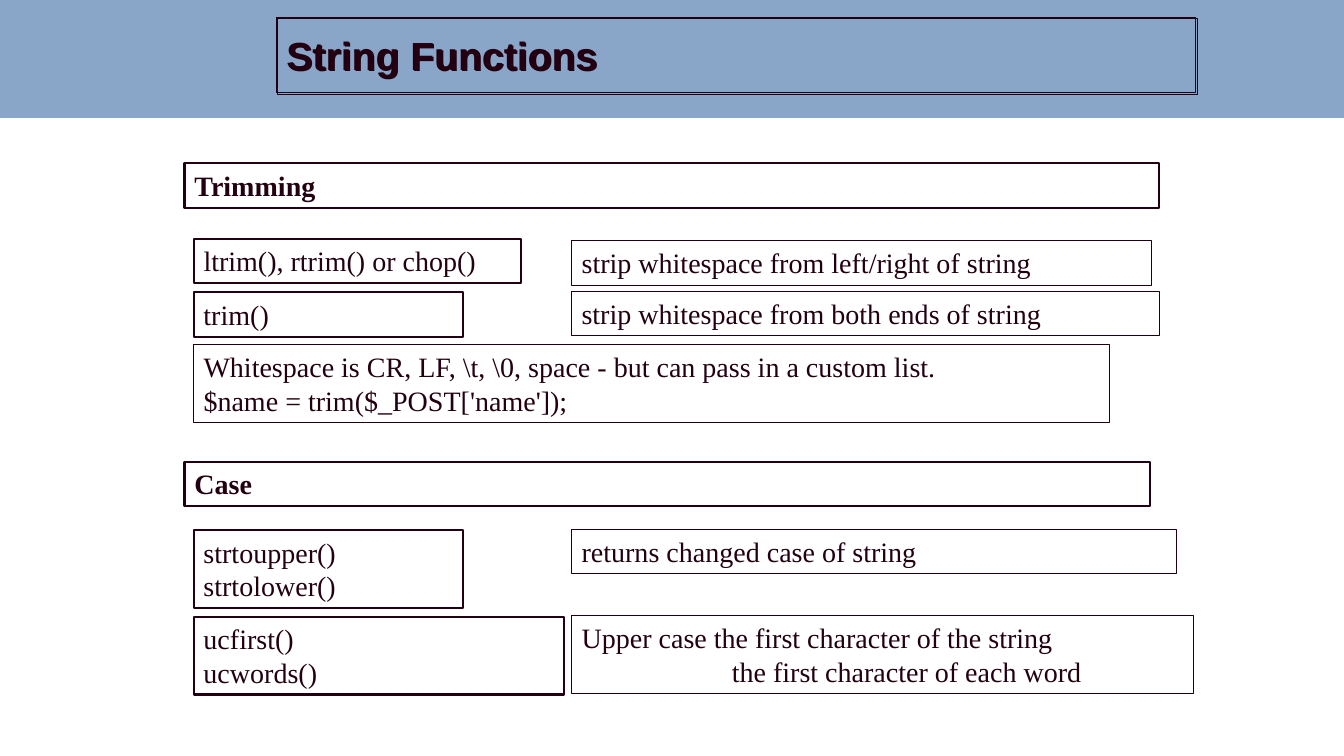
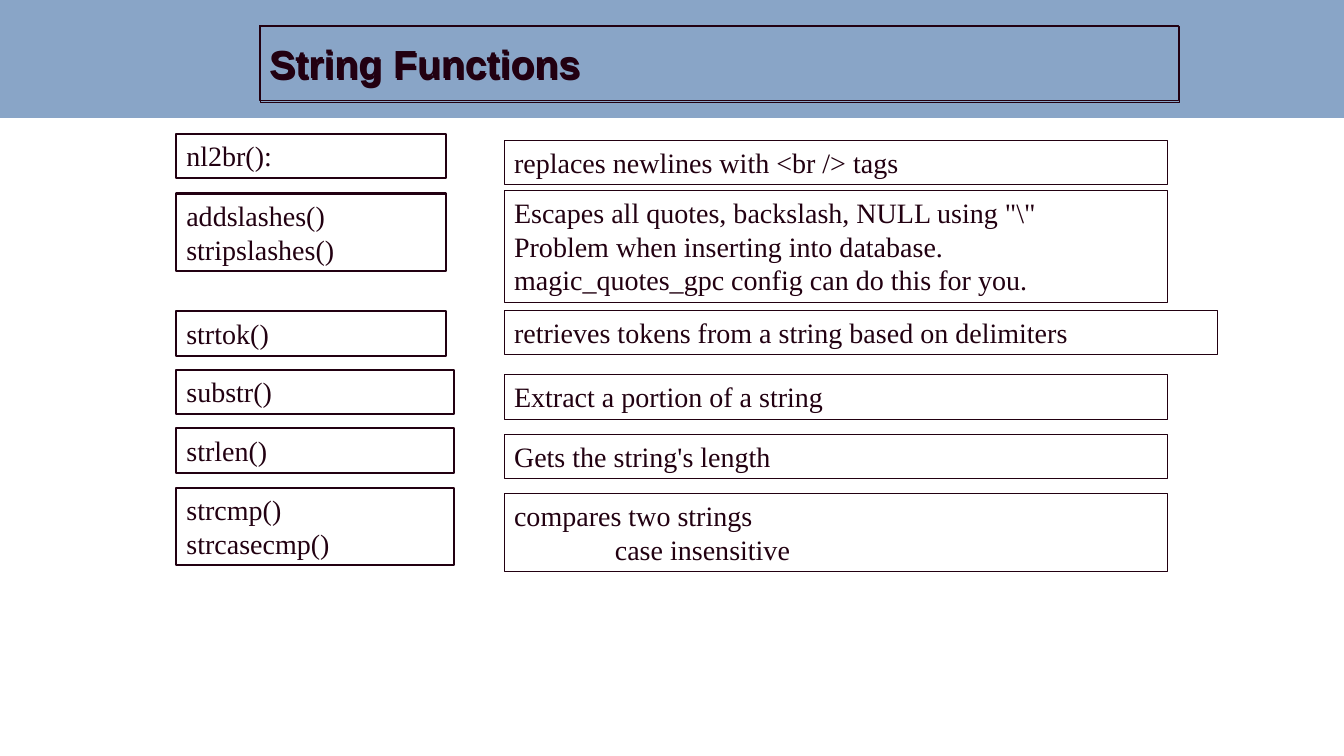
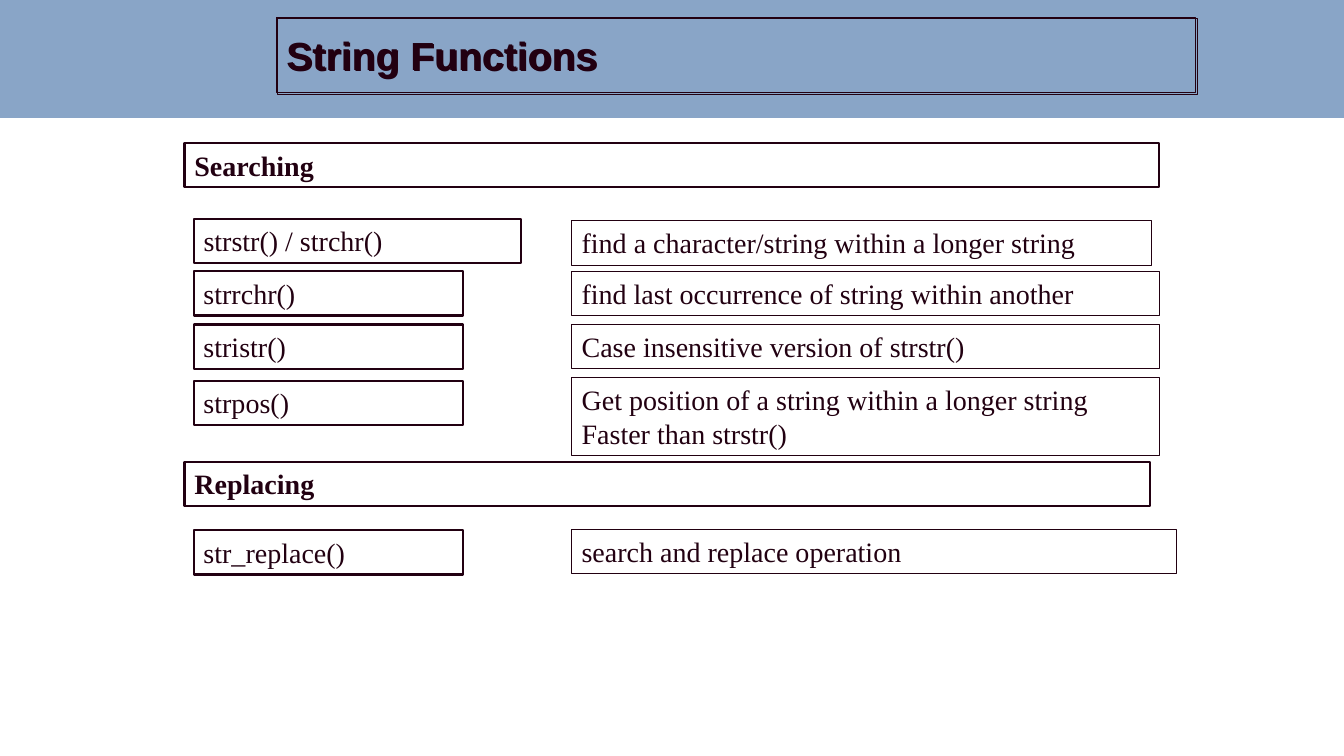
from dataclasses import dataclass
from lxml import etree
from pptx import Presentation
from pptx.dml.color import RGBColor
from pptx.enum.shapes import MSO_SHAPE
from pptx.enum.text import MSO_ANCHOR, MSO_AUTO_SIZE, PP_ALIGN
from pptx.oxml.ns import qn
from pptx.util import Pt

RECT = MSO_SHAPE.RECTANGLE
MIDDLE = MSO_ANCHOR.MIDDLE
LEFT = PP_ALIGN.LEFT
GROW = MSO_AUTO_SIZE.SHAPE_TO_FIT_TEXT
FIXED = MSO_AUTO_SIZE.NONE
PX = 9144
WIDE, HIGH = 1333, 750
TITLE_ONLY = 5


@dataclass(frozen=True)
class Theme:
    ink: RGBColor = RGBColor(0x22, 0x00, 0x11)
    band: RGBColor = RGBColor(0x89, 0xA5, 0xC7)
    head: str = "Arial"
    body: str = "Times New Roman"
    big: int = 28
    small: int = 20
    thin: float = 0.75
    thick: float = 1.5


THEME = Theme()

WEIGHT = {"head": THEME.thick, "name": THEME.thick, "desc": THEME.thin, "note": THEME.thin}

SLIDES = [
    {
        "title": ("String Functions", 274, 17),
        "cols": {"head": 183, "name": 192, "note": 192, "desc": 567},
        "indent": 149,
        "boxes": [
            ("head", 162, 967, ["Trimming"]),
            ("name", 237, 325, ["ltrim(), rtrim() or chop()"]),
            ("desc", 239, 575, ["strip whitespace from left/right of string"]),
            ("name", 290, 267, ["trim()"]),
            ("desc", 289, 583, ["strip whitespace from both ends of string"]),
            ("note", 342, 908, [
                r"Whitespace is CR, LF, \t, \0, space - but can pass in a custom list.",
                "$name = trim($_POST['name']);",
            ]),
            ("head", 458, 958, ["Case"]),
            ("name", 526, 267, ["strtoupper()", "strtolower()"]),
            ("desc", 525, 600, ["returns changed case of string"]),
            ("name", 612, 367, ["ucfirst()", "ucwords()"]),
            ("desc", 611, 617, [
                "Upper case the first character of the string",
                "\tthe first character of each word",
            ]),
        ],
    },
    {
        "title": ("String Functions", 257, 25),
        "cols": {"name": 175, "desc": 500},
        "indent": 100,
        "boxes": [
            ("name", 133, 267, ["nl2br():"]),
            ("desc", 139, 658, ["replaces newlines with <br /> tags"]),
            ("name", 192, 267, ["addslashes()", "stripslashes()"]),
            ("desc", 189, 658, [
                r'Escapes all quotes, backslash, NULL using "\"',
                "Problem when inserting into database.",
                "magic_quotes_gpc config can do this for you.",
            ]),
            ("name", 309, 267, ["strtok()"]),
            ("desc", 308, 708, ["retrieves tokens from a string based on delimiters"]),
            ("name", 367, 275, ["substr()"]),
            ("desc", 372, 658, ["Extract a portion of a string"]),
            ("name", 425, 275, ["strlen()"]),
            ("desc", 431, 658, ["Gets the string's length"]),
            ("name", 484, 275, ["strcmp()", "strcasecmp()"]),
            ("desc", 490, 658, ["compares two strings", "\tcase insensitive"]),
        ],
    },
    {
        "title": ("String Functions", 274, 17),
        "cols": {"head": 183, "name": 192, "desc": 567},
        "indent": 0,
        "boxes": [
            ("head", 142, 967, ["Searching"]),
            ("name", 217, 325, ["strstr() / strchr()"]),
            ("desc", 219, 575, ["find a character/string within a longer string"]),
            ("name", 269, 267, ["strrchr()"]),
            ("desc", 269, 583, ["find last occurrence of string within another"]),
            ("name", 322, 267, ["stristr()"]),
            ("desc", 322, 583, ["Case insensitive version of strstr()"]),
            ("name", 378, 267, ["strpos()"]),
            ("desc", 375, 583, [
                "Get position of a string within a longer string",
                "Faster than strstr()",
            ]),
            ("head", 458, 958, ["Replacing"]),
            ("name", 526, 267, ["str_replace()"]),
            ("desc", 525, 600, ["search and replace operation"]),
        ],
    },
]


def place(shape, *box):
    shape.left, shape.top, shape.width, shape.height = [n * PX for n in box]


def outline(shape, weight):
    shape.line.color.rgb = THEME.ink
    shape.line.width = Pt(weight)


def style(para, face, size, bold):
    para.alignment = LEFT
    font = para.font
    font.name, font.size, font.bold = face, Pt(size), bold
    font.color.rgb = THEME.ink


def add_band(prs, slide):
    band = slide.shapes.add_shape(RECT, 0, 0, WIDE * PX, 117 * PX)
    band.shadow.inherit = False
    band.fill.solid()
    band.fill.fore_color.rgb = THEME.band
    band.line.fill.background()
    prs.slide_master.shapes._spTree.insert(2, band._element)


def cast_shadow(shape):
    effects = etree.SubElement(shape._element.spPr, qn("a:effectLst"))
    shade = etree.SubElement(effects, qn("a:outerShdw"), dist=str(Pt(1.4)), dir="2700000")
    etree.SubElement(shade, qn("a:srgbClr"), val=str(THEME.ink))


def set_title(slide, text, left, top):
    title = slide.shapes.title
    place(title, left, top, 912, 75)
    outline(title, THEME.thin)
    cast_shadow(title)
    frame = title.text_frame
    frame.text = text
    frame.auto_size = FIXED
    frame.vertical_anchor = MIDDLE
    style(frame.paragraphs[0], THEME.head, THEME.big, True)


def add_box(slide, spec, kind, top, width, lines):
    box = slide.shapes.add_textbox(0, 0, 0, 0)
    place(box, spec["cols"][kind], top, width, 11 + 100 * len(lines) // 3)
    outline(box, WEIGHT[kind])
    frame = box.text_frame
    frame.word_wrap = True
    frame.auto_size = GROW
    frame.text = "\n".join(line.strip("\t") for line in lines)
    for para, line in zip(frame.paragraphs, lines):
        style(para, THEME.body, THEME.small, kind == "head")
        if line.startswith("\t"):
            para._p.get_or_add_pPr().set("marL", str(spec["indent"] * PX))


def main():
    prs = Presentation()
    prs.slide_width, prs.slide_height = WIDE * PX, HIGH * PX
    for spec in SLIDES:
        slide = prs.slides.add_slide(prs.slide_layouts[TITLE_ONLY])
        if len(prs.slides) == 1:
            add_band(prs, slide)
        set_title(slide, *spec["title"])
        for box in spec["boxes"]:
            add_box(slide, spec, *box)
    prs.save("out.pptx")


if __name__ == "__main__":
    main()
